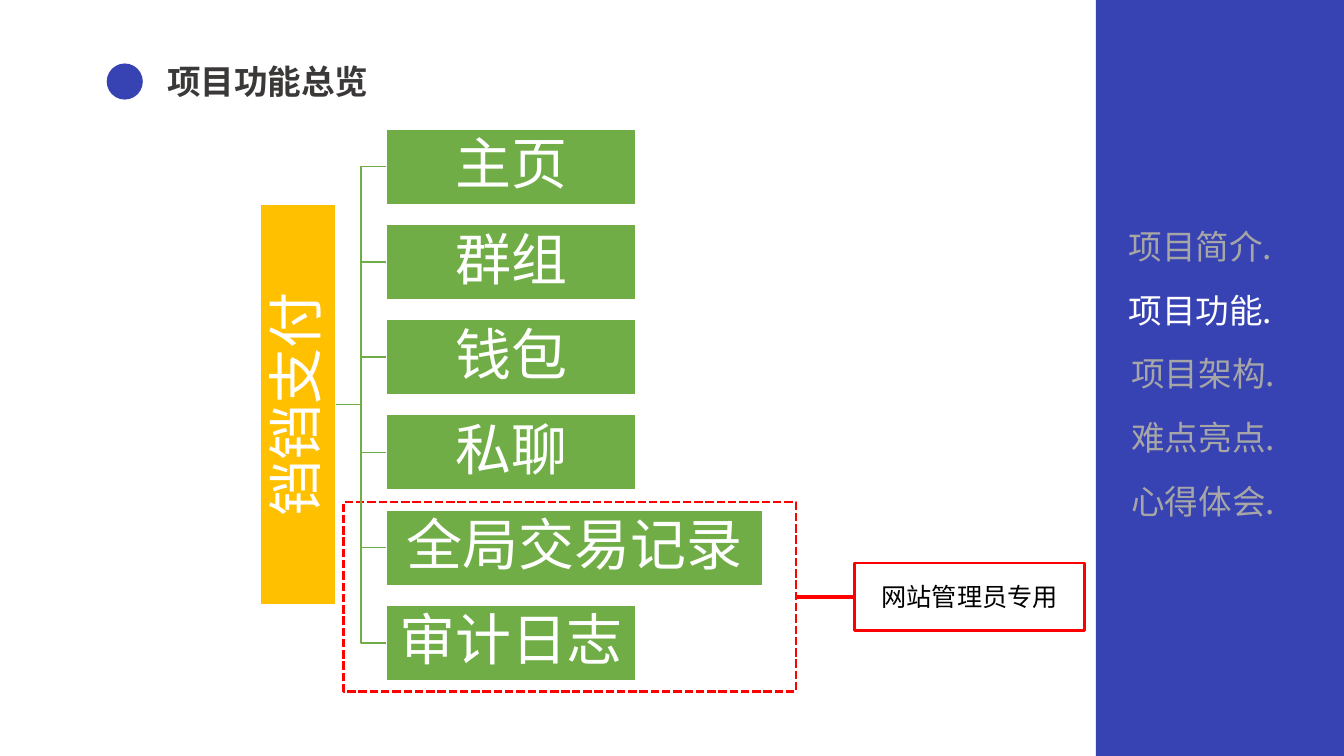
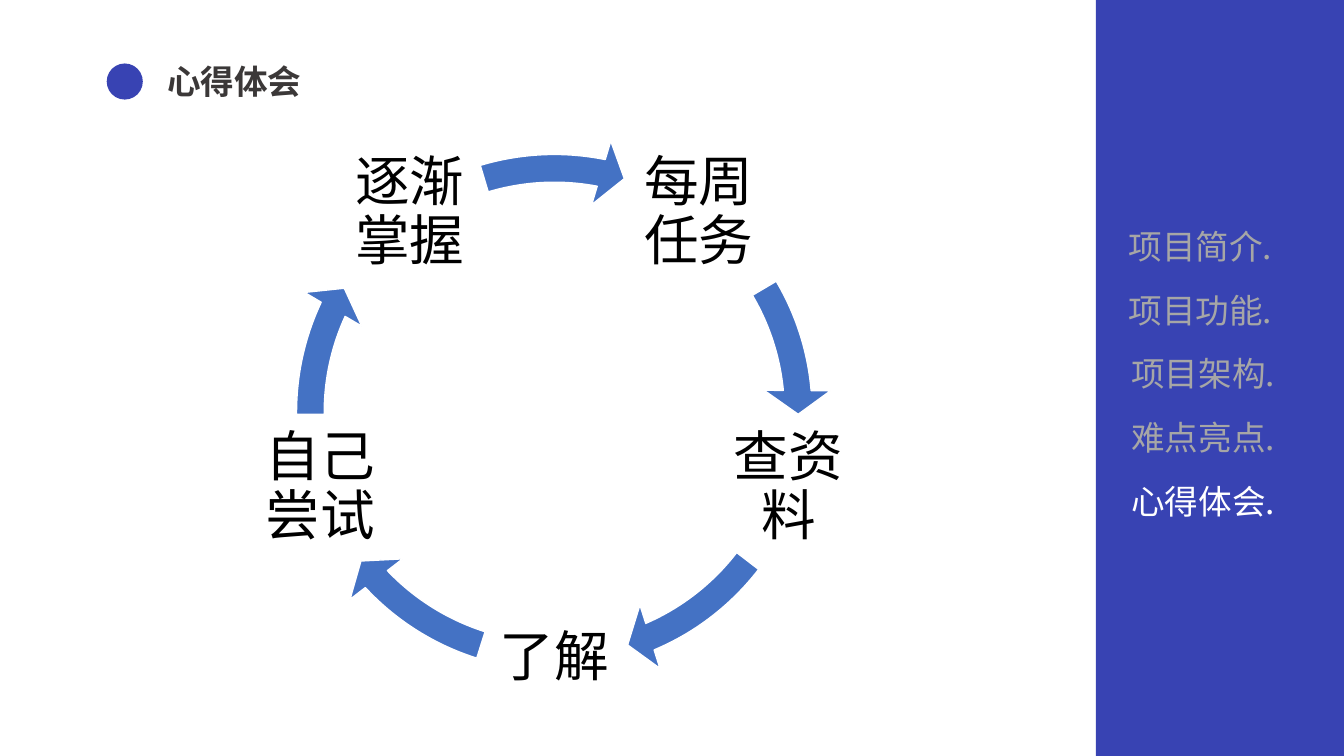
"""Build two project slides: the feature tree and the learning cycle."""
import math

from lxml import etree
from pptx import Presentation
from pptx.dml.color import RGBColor
from pptx.enum import dml, shapes, text
from pptx.oxml import ns
from pptx.util import Cm, Pt

FONT = "Noto Sans CJK SC"
COLORS = {
    "blue": "3843B3", "title": "3B3838", "muted": "A6A6A6", "white": "FFFFFF",
    "black": "000000", "green": "70AD47", "amber": "FFC000", "red": "FF0000",
    "arrow": "4472C4",
}
RGB = {name: RGBColor.from_string(value) for name, value in COLORS.items()}
KIND = shapes.MSO_SHAPE
LINK = shapes.MSO_CONNECTOR
MIDDLE = text.MSO_ANCHOR.MIDDLE
CENTER = text.PP_ALIGN.CENTER


def draw(s, kind, left, top, width, height, fill=None, line=None, weight=1):
    sp = s.shapes.add_shape(kind, Cm(left), Cm(top), Cm(width), Cm(height))
    sp.shadow.inherit = False
    if fill:
        sp.fill.solid()
        sp.fill.fore_color.rgb = RGB[fill]
    else:
        sp.fill.background()
    if line:
        sp.line.color.rgb = RGB[line]
        sp.line.width = Pt(weight)
    else:
        sp.line.fill.background()
    return sp


def write(sp, words, size, color, bold=False, inset=None, centered=True):
    tf = sp.text_frame
    tf.text = words
    tf.word_wrap = True
    p = tf.paragraphs[0]
    if centered:
        tf.vertical_anchor = MIDDLE
        p.alignment = CENTER
    else:
        tf.auto_size = text.MSO_AUTO_SIZE.SHAPE_TO_FIT_TEXT
    if inset is not None:
        tf.margin_left = tf.margin_right = Cm(inset)
        tf.margin_top = tf.margin_bottom = Cm(inset)
        p.line_spacing = 0.9
    r = p.runs[0]
    r.font.name = FONT
    r.font.size = Pt(size)
    r.font.bold = bold
    r.font.color.rgb = RGB[color]
    ea = etree.SubElement(r.font._element, ns.qn("a:ea"))
    ea.set("typeface", FONT)


prs = Presentation()
prs.slide_width, prs.slide_height = Cm(33.87), Cm(19.05)

sections = ["项目简介.", "项目功能.", "项目架构.", "难点亮点.", "心得体会."]
pages = []
for title, current in [("项目功能总览", 1), ("心得体会", 4)]:
    s = prs.slides.add_slide(prs.slide_layouts[6])
    pages.append(s)
    draw(s, KIND.RECTANGLE, 27.62, 0, 6.25, 19.05, "blue")
    tb = s.shapes.add_textbox(Cm(3.96), Cm(1.42), Cm(7.4), Cm(1.27))
    write(tb, title, 24, "title", bold=True, centered=False)
    draw(s, KIND.OVAL, 2.69, 1.6, 0.91, 0.91, "blue")
    for i, section in enumerate(sections):
        left = 28.19 if i < 2 else 28.26
        tb = s.shapes.add_textbox(Cm(left), Cm(5.56 + 1.61 * i), Cm(4.95), Cm(1.27))
        write(tb, section, 24, "white" if i == current else "muted", centered=False)

tree, cycle = pages

root = draw(tree, KIND.RECTANGLE, 6.55, 5.15, 1.92, 10.1, "amber", "white", 1.5)
write(root, "铛铛支付", 40, "white", inset=0.08)
root.text_frame._txBody.bodyPr.set("vert", "vert270")

links = []
features = ["主页", "群组", "钱包", "私聊", "全局交易记录", "审计日志"]
for i, feature in enumerate(features):
    width = 9.5 if len(feature) > 4 else 6.3
    sp = draw(tree, KIND.RECTANGLE, 9.73, 3.24 + 2.4 * i, width, 1.92, "green", "white", 1.5)
    write(sp, feature, 40, "white", inset=0.08)
    links.append((LINK.ELBOW, root, 3, sp, 1, "green", 1))

admin_area = draw(tree, KIND.RECTANGLE, 8.66, 12.65, 11.4, 4.78, line="red", weight=2)
admin_area.line.dash_style = dml.MSO_LINE.SQUARE_DOT
admin_note = draw(tree, KIND.RECTANGLE, 21.54, 14.19, 5.8, 1.7, line="red", weight=2)
write(admin_note, "网站管理员专用", 18, "black")
links.append((LINK.STRAIGHT, admin_note, 1, admin_area, 3, "red", 2.5))

for kind, start, start_side, end, end_side, color, weight in links:
    link = tree.shapes.add_connector(kind, 0, 0, 0, 0)
    link.begin_connect(start, start_side)
    link.end_connect(end, end_side)
    link.line.color.rgb = RGB[color]
    link.line.width = Pt(weight)
    etree.SubElement(link._element.spPr, ns.qn("a:effectLst"))

center_x, center_y, radius, ring, side = 13.97, 10.39, 6.2, 13.97, 3.73
steps = [
    ("每周任务", 329.44, 354.88),
    ("查资料", 37.56, 66.91),
    ("了解", 107.5, 136.84),
    ("自己尝试", 179.52, 204.96),
    ("逐渐掌握", 253.31, 281.09),
]
for i, (step, tail, head) in enumerate(steps):
    angle = math.radians(72 * i - 54)
    left = center_x + radius * math.cos(angle) - side / 2
    top = center_y + radius * math.sin(angle) - side / 2
    tb = cycle.shapes.add_textbox(Cm(left), Cm(top), Cm(side), Cm(side))
    write(tb, step, 39, "black", inset=0.13)
    arrow = draw(cycle, KIND.CIRCULAR_ARROW, center_x - ring / 2, center_y - ring / 2,
                 ring, ring, "arrow", "white")
    for j, value in enumerate([0.05, 3.36, head * 0.6, tail * 0.6, 0.06]):
        arrow.adjustments[j] = value

prs.save("out.pptx")
